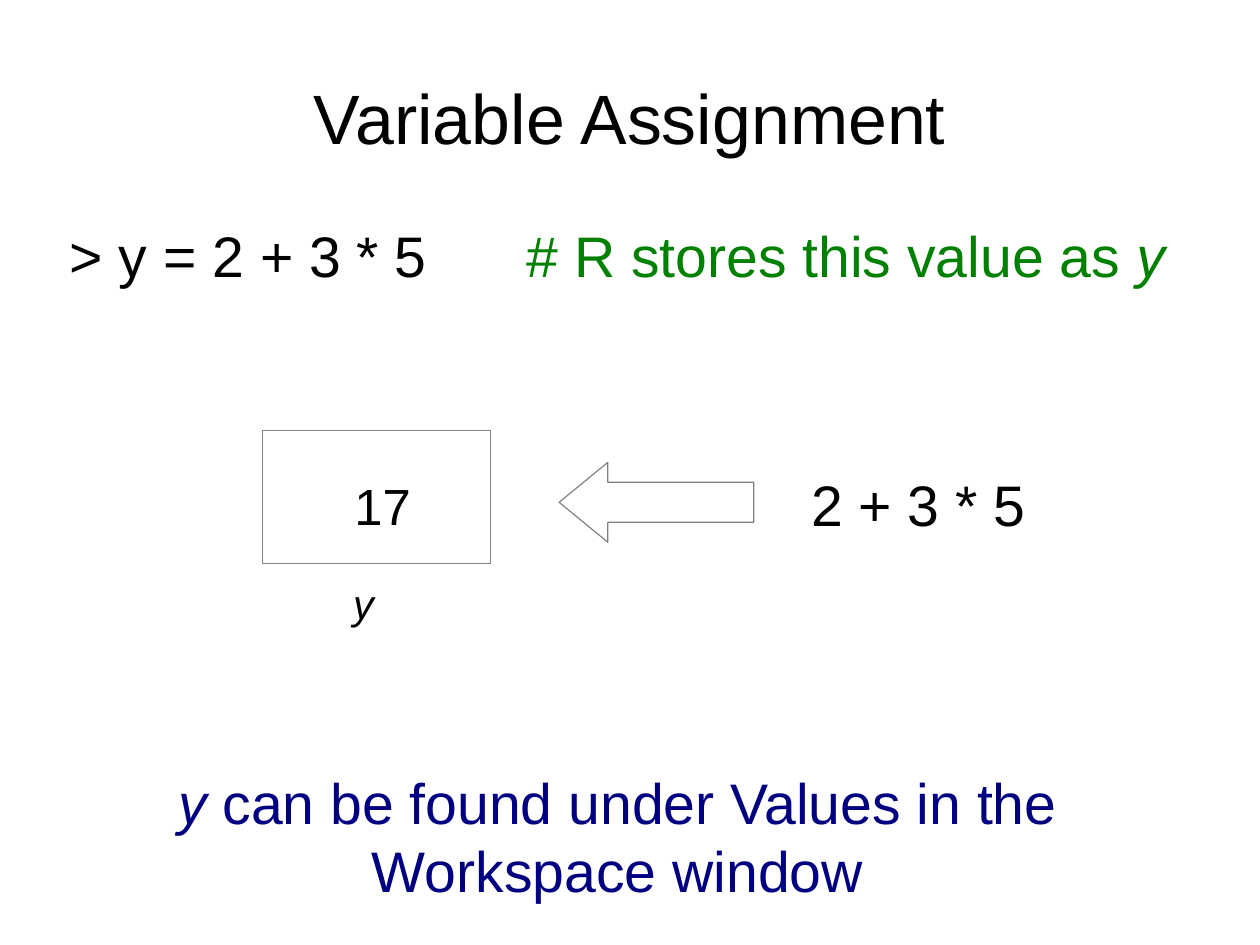
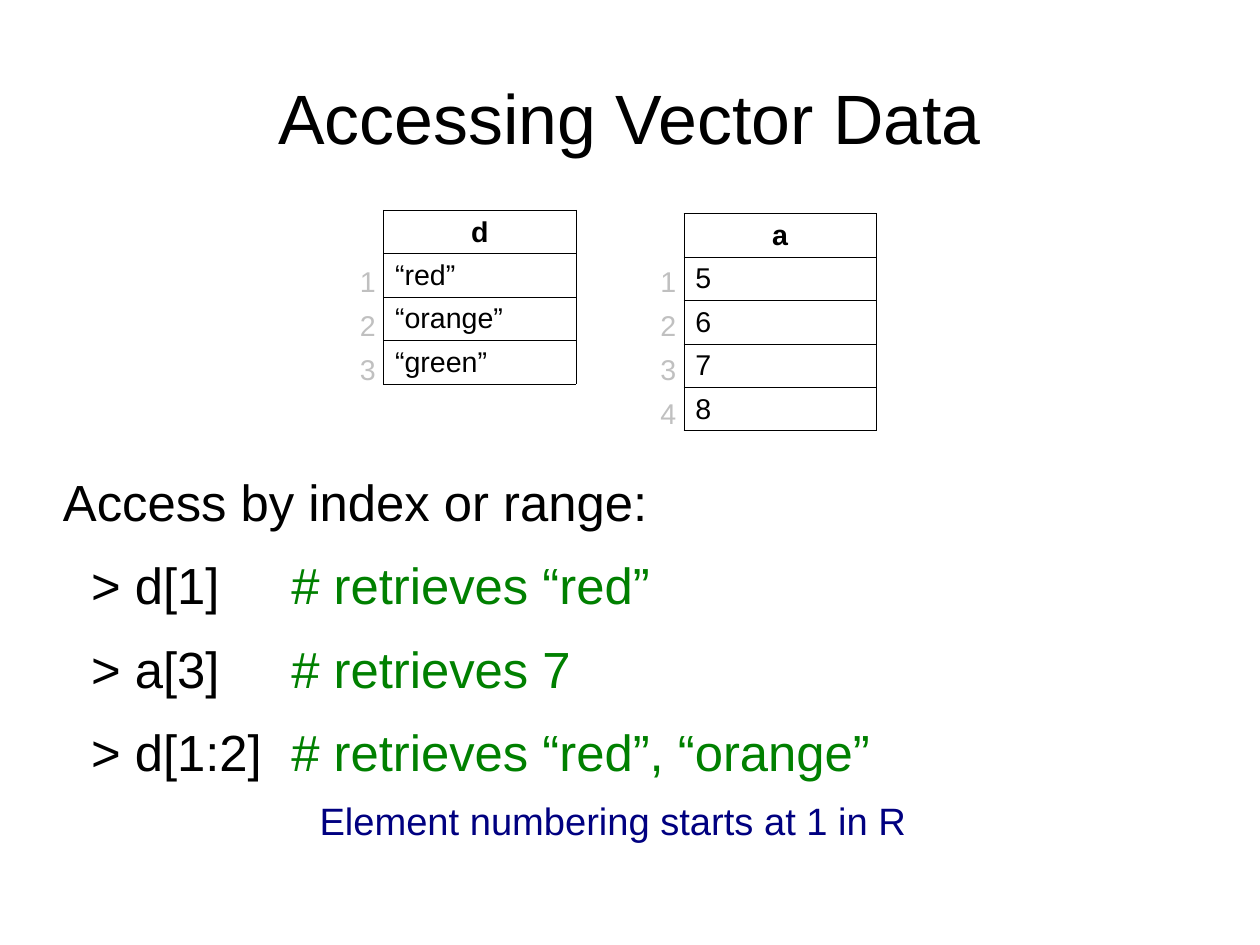
import pptx
import pptx.dml.color
import pptx.enum.shapes
import pptx.enum.text
import pptx.oxml.ns
import pptx.util
from lxml import etree

PX = 9000  # EMU in one px, 40 px to the centimetre
FONT = "Arial"
BLACK, GREY, PALE = "000000", "808080", "C0C0C0"
GREEN, NAVY = "008000", "000080"
SHAPES = pptx.enum.shapes.MSO_SHAPE
ALIGN = pptx.enum.text.PP_ALIGN
ANCHOR = pptx.enum.text.MSO_ANCHOR
ROW_HEIGHT = 38
INDEX_PITCH = 39
COLUMN_WIDTH = 171


def px(*lengths):
    return [pptx.util.Emu(length * PX) for length in lengths]


def rgb(color):
    return pptx.dml.color.RGBColor.from_string(color)


def add_element(parent, tag, **attributes):
    return etree.SubElement(parent, pptx.oxml.ns.qn(tag), attributes)


def add_run(paragraph, text, size, color=BLACK, bold=False, italic=False):
    run = paragraph.add_run()
    run.text = text
    font = run.font
    font.name, font.size = FONT, pptx.util.Pt(size)
    font.bold, font.italic = bold, italic
    font.color.rgb = rgb(color)


def add_text(slide, box, paragraphs, size, align=ALIGN.LEFT, anchor=ANCHOR.TOP,
             tabs=(), space_after=0):
    """Each paragraph is a list of (text, run options) pairs."""
    shape = slide.shapes.add_textbox(*px(*box))
    frame = shape.text_frame
    frame.word_wrap = True
    frame.vertical_anchor = anchor
    frame.margin_left = frame.margin_right = 0
    frame.margin_top = frame.margin_bottom = 0
    for number, runs in enumerate(paragraphs):
        paragraph = frame.add_paragraph() if number else frame.paragraphs[0]
        paragraph.alignment = align
        paragraph.space_after = pptx.util.Pt(space_after)
        if tabs:
            tab_list = add_element(paragraph._p.get_or_add_pPr(), "a:tabLst")
            for tab in tabs:
                add_element(tab_list, "a:tab", pos=str(tab * PX), algn="l")
        for text, options in runs:
            add_run(paragraph, text, size, **options)


def add_outline(slide, kind, box):
    shape = slide.shapes.add_shape(kind, *px(*box))
    shape.shadow.inherit = False
    shape.fill.background()
    shape.line.color.rgb = rgb(GREY)
    shape.line.width = pptx.util.Pt(0)
    return shape


def add_titled_slide(presentation, title):
    slide = presentation.slides.add_slide(presentation.slide_layouts[6])
    add_text(slide, (56, 34, 1008, 140), [[(title, {})]], 44,
             ALIGN.CENTER, ANCHOR.MIDDLE)
    return slide


def add_assignment_diagram(slide, left, top):
    """Variable box with its name, filled by an arrow from the expression."""
    add_outline(slide, SHAPES.RECTANGLE, (left, top, 203, 118))
    arrow = add_outline(slide, SHAPES.LEFT_ARROW, (left + 264, top + 28, 173, 71))
    arrow.adjustments[0], arrow.adjustments[1] = 0.5, 0.61
    add_text(slide, (left + 82, top + 39, 60, 56), [[("17", {})]], 32)
    add_text(slide, (left + 81, top + 131, 30, 44),
             [[("y", {"italic": True})]], 26)
    add_text(slide, (left + 488, top + 34, 210, 60), [[("2 + 3 * 5", {})]], 36)


def style_cell(cell, text, header):
    properties = cell._tc.get_or_add_tcPr()
    for side in ("a:lnL", "a:lnR", "a:lnT", "a:lnB"):
        border = add_element(properties, side, w=str(pptx.util.Pt(0.57)))
        add_element(add_element(border, "a:solidFill"), "a:srgbClr", val=BLACK)
    cell.fill.background()
    cell.margin_bottom, = px(3)
    paragraph = cell.text_frame.paragraphs[0]
    paragraph.alignment = ALIGN.CENTER if header else ALIGN.LEFT
    add_run(paragraph, text, 18, bold=header)


def add_vector(slide, left, top, index_top, name, values):
    """One-column table with pale element numbers to its left."""
    texts = [name, *values]
    table = slide.shapes.add_table(
        len(texts), 1, *px(left, top, COLUMN_WIDTH, ROW_HEIGHT * len(texts))).table
    table.horz_banding = table.first_row = False
    for row, text in enumerate(texts):
        style_cell(table.cell(row, 0), text, header=row == 0)
    for index in range(len(values)):
        add_text(slide, (left - 21, index_top + index * INDEX_PITCH, 18, 30),
                 [[(str(index + 1), {"color": PALE})]], 18)


def build_assignment_slide(presentation):
    slide = add_titled_slide(presentation, "Variable Assignment")
    code = [("> y = 2 + 3 * 5\t", {}),
            ("# R stores this value as ", {"color": GREEN}),
            ("y", {"color": GREEN, "italic": True})]
    add_text(slide, (62, 196, 996, 62), [code], 36, tabs=[406])
    add_assignment_diagram(slide, 233, 383)
    remark = [("y", {"color": NAVY, "italic": True}),
              (" can be found under Values in the Workspace window", {"color": NAVY})]
    add_text(slide, (56, 682, 986, 124), [remark], 36, ALIGN.CENTER)


def build_vector_slide(presentation):
    slide = add_titled_slide(presentation, "Accessing Vector Data")
    add_vector(slide, 341, 187, 235, "d", ["“red”", "“orange”", "“green”"])
    add_vector(slide, 608, 190, 235, "a", ["5", "6", "7", "8"])
    examples = [("d[1]", "“red”"), ("a[3]", "7"), ("d[1:2]", "“red”, “orange”")]
    lines = [[("Access by index or range:", {})]]
    lines += [[(f"\t> {code}\t", {}), (f"# retrieves {result}", {"color": GREEN})]
              for code, result in examples]
    add_text(slide, (56, 418, 986, 280), lines, 32, tabs=[25, 203], space_after=14.2)
    add_text(slide, (284, 709, 549, 45),
             [[("Element numbering starts at 1 in R", {"color": NAVY})]], 24)


def main():
    presentation = pptx.Presentation()
    presentation.slide_width, presentation.slide_height = px(1120, 840)
    build_assignment_slide(presentation)
    build_vector_slide(presentation)
    presentation.save("out.pptx")


if __name__ == "__main__":
    main()
